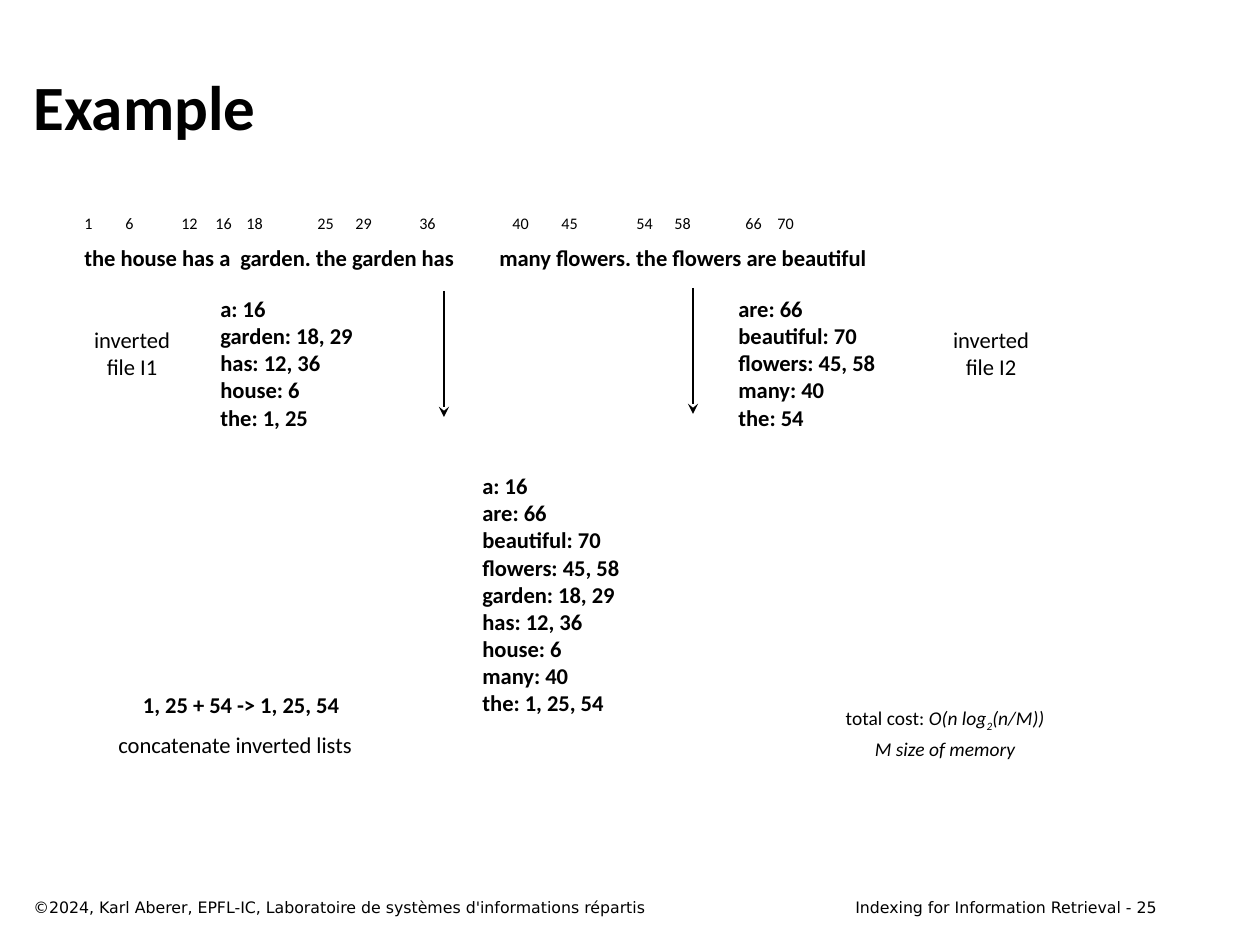
import pptx
import pptx.util
import pptx.dml.color
import pptx.enum.shapes
import pptx.enum.text
import pptx.oxml
import pptx.oxml.ns
from lxml import etree

BLACK = pptx.dml.color.RGBColor(0, 0, 0)
ALIGN = pptx.enum.text.PP_ALIGN
ANCHOR = pptx.enum.text.MSO_ANCHOR
LEFT, CENTER, RIGHT = ALIGN.LEFT, ALIGN.CENTER, ALIGN.RIGHT
BODY_FONT, FOOTER_FONT = "Calibri", "DejaVu Sans"
BODY_SIZE = 12.9

# Content: word offsets with their distance from the text edge, then the sentence
OFFSETS = [(1, 0), (6, 41), (12, 97), (16, 131), (18, 162), (25, 233), (29, 271),
           (36, 335), (40, 428), (45, 477), (54, 552), (58, 590), (66, 661), (70, 693)]
SENTENCE = [("the house has a", 0), ("garden. the garden has", 156),
            ("many flowers. the flowers are beautiful", 415)]

# Index lists: left, top, width, height, entries
INDEXES = [
    (208, 289, 172, 150, ["a: 16", "garden: 18, 29", "has: 12, 36", "house: 6", "the: 1, 25"]),
    (726, 289, 172, 150, ["are: 66", "beautiful: 70", "flowers: 45, 58", "many: 40", "the: 54"]),
    (470, 466, 172, 260, ["a: 16", "are: 66", "beautiful: 70", "flowers: 45, 58", "garden: 18, 29",
                          "has: 12, 36", "house: 6", "many: 40", "the: 1, 25, 54"]),
]
# Centred labels: centre, top, width, height, bold, lines
LABELS = [
    (132, 320, 107, 68, False, ["inverted", "file I1"]),
    (991, 320, 107, 68, False, ["inverted", "file I2"]),
    (241, 685, 233, 40, True, ["1, 25 + 54 -> 1, 25, 54"]),
    (235, 725, 270, 40, False, ["concatenate inverted lists"]),
]
# Cost note: runs of (text, italic, subscript)
COST = [
    [("total cost: ", False, False), ("O(n log", True, False),
     ("2", True, True), ("(n/M))", True, False)],
    [("M size of memory", True, False)],
]
ARROWS = [(444, 291, 417), (693, 288, 414)]  # x, top, bottom


def px(length):
    return pptx.util.Emu(round(length * 914400 / 126))


def style(para, size, bold=False, font=BODY_FONT, align=LEFT):
    para.alignment = align
    para.font.name = font
    para.font.size = pptx.util.Pt(size)
    para.font.bold = bold
    para.font.color.rgb = BLACK


def add_text(left, top, width, height, lines, size=BODY_SIZE, **look):
    box = page.shapes.add_textbox(px(left), px(top), px(width), px(height))
    frame = box.text_frame
    frame.word_wrap = True
    for number, line in enumerate(lines):
        para = frame.paragraphs[0] if number == 0 else frame.add_paragraph()
        para.text = line
        style(para, size, **look)
    return frame


def set_columns(para, columns):
    para.text = "\t".join(str(text) for text, _ in columns)
    tabs = etree.SubElement(para._p.get_or_add_pPr(), pptx.oxml.ns.qn("a:tabLst"))
    for _, position in columns[1:]:
        etree.SubElement(tabs, pptx.oxml.ns.qn("a:tab"), pos=str(px(position)), algn="l")


def add_arrow(x, top, bottom):
    arrow = page.shapes.add_connector(
        pptx.enum.shapes.MSO_CONNECTOR.STRAIGHT, px(x), px(top), px(x), px(bottom))
    arrow.line.color.rgb = BLACK
    arrow.line.width = pptx.util.Pt(1)
    etree.SubElement(arrow.line._get_or_add_ln(), pptx.oxml.ns.qn("a:tailEnd"), type="stealth")
    etree.SubElement(arrow._element.spPr, pptx.oxml.ns.qn("a:effectLst"))


deck = pptx.Presentation()
deck.slide_width, deck.slide_height = px(1260), px(945)
page = deck.slides.add_slide(deck.slide_layouts[6])

# Footer and title
add_text(803, 892, 366, 32, ["Indexing for Information Retrieval - 25"], 9,
         font=FOOTER_FONT, align=RIGHT)
add_text(21, 892, 809, 32,
         ["©2024, Karl Aberer, EPFL-IC, Laboratoire de systèmes d'informations répartis"], 9,
         font=FOOTER_FONT)
title = add_text(21, 42, 1144, 126, ["Example"], 36, bold=True)
title.vertical_anchor = ANCHOR.MIDDLE

# Sentence with the offset above each word
text = add_text(72, 207, 1056, 102, [])
offsets, sentence = text.paragraphs[0], text.add_paragraph()
set_columns(offsets, OFFSETS)
style(offsets, 9.2)
set_columns(sentence, SENTENCE)
sentence.space_before = pptx.util.Pt(6.8)
style(sentence, BODY_SIZE, bold=True)

# Index lists, labels and arrows
for left, top, width, height, entries in INDEXES:
    add_text(left, top, width, height, entries, bold=True)
for center, top, width, height, bold, lines in LABELS:
    add_text(center - width / 2, top, width, height, lines, bold=bold, align=CENTER)
for arrow in ARROWS:
    add_arrow(*arrow)

# Cost note
note = add_text(830, 700, 230, 64, ["", ""], 11.1, align=CENTER)
note.paragraphs[1].space_before = pptx.util.Pt(2.7)
for para, runs in zip(note.paragraphs, COST):
    for words, italic, subscript in runs:
        span = para.add_run()
        span.text = words
        span.font.italic = italic
        if subscript:
            span.font._element.set("baseline", "-25000")

deck.save("out.pptx")
